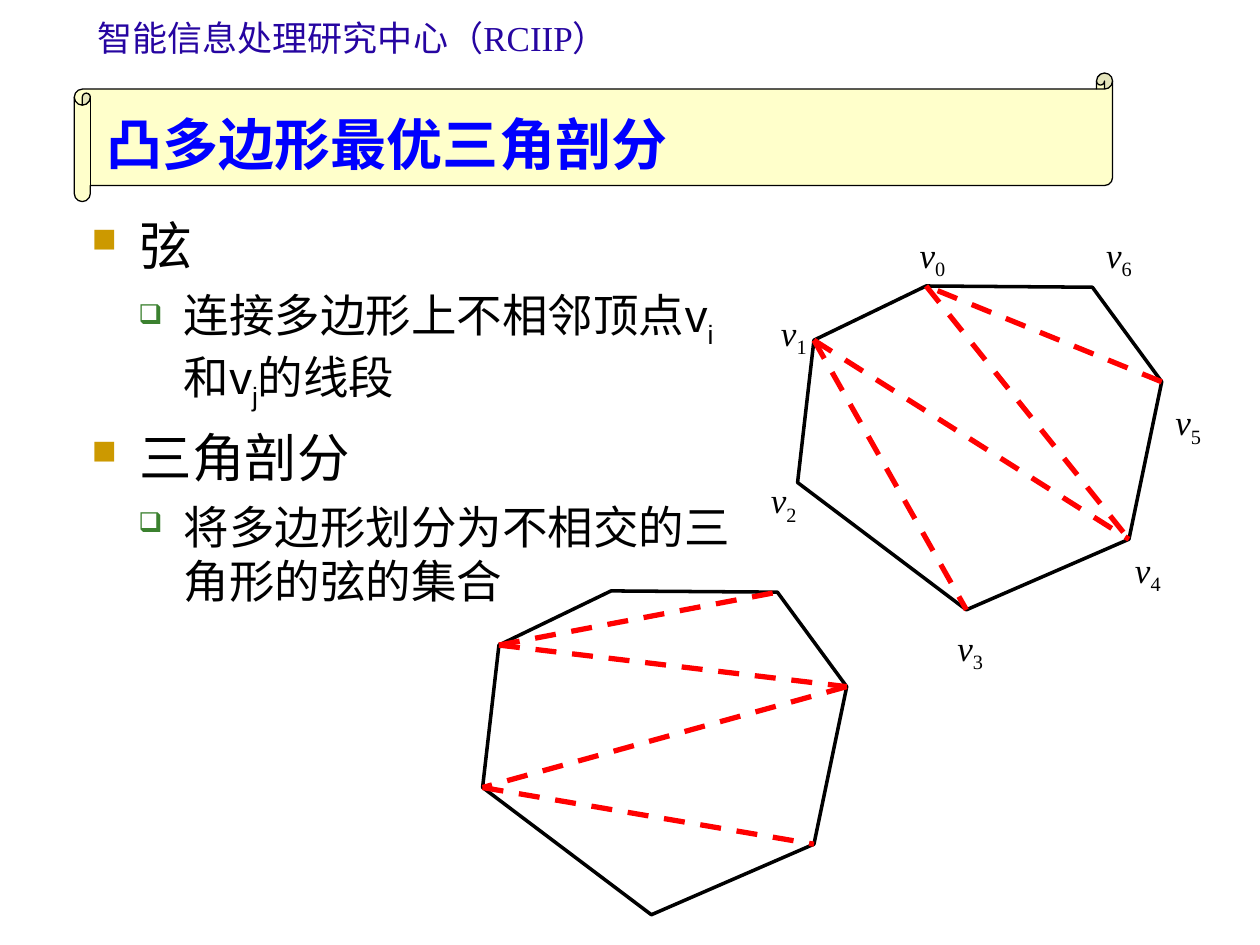
from lxml import etree
from pptx import Presentation
from pptx import util as u
from pptx.dml.color import RGBColor
from pptx.enum import dml, shapes, text
from pptx.oxml import ns

COLORS = {
    "head": "2605A1",
    "scroll": "FFFF99",
    "title": "0000FF",
    "ink": "000000",
    "chord": "FF0000",
    "gold": "CC9900",
    "green": "3B812F",
}
SANS, SERIF = "Arial", "Times New Roman"

# Vertices v0 to v6 and the top left corners of their labels
POINTS = [(7.35, 2.27), (6.46, 2.7), (6.33, 3.83), (7.67, 4.84),
          (8.96, 4.28), (9.22, 3.03), (8.67, 2.28)]
LABELS = [(7.2, 1.8), (6.1, 2.42), (6.02, 3.75), (7.5, 4.92),
          (8.91, 4.3), (9.23, 3.13), (8.68, 1.8)]
# Shift of each polygon and its chords as vertex pairs
CUTS = [
    ((0, 0), [(1, 4), (1, 3), (5, 0), (0, 4)]),
    ((-2.5, 2.42), [(1, 5), (1, 6), (5, 2), (2, 4)]),
]
# Level and runs; a run that starts with "_" is a subscript
BODY = [
    (0, ["弦"]),
    (1, ["连接多边形上不相邻顶点v", "_i", "和v", "_j", "的线段"]),
    (0, ["三角剖分"]),
    (1, ["将多边形划分为不相交的三角形的弦的集合"]),
]
# Size, space before, left margin, indent, Wingdings bullet (n is a filled
# square, q a shadowed one), its colour and percent
LEVELS = [
    (30, 7.5, 0.38, -0.38, "n", "gold", 65),
    (26, 6.5, 0.73, -0.36, "q", "green", 60),
]


def rgb(name):
    return RGBColor.from_string(COLORS[name])


def sub(node, tag, **attrs):
    return etree.SubElement(node, ns.qn(tag), attrs)


def add_run(para, words, size, face, color="ink", bold=False, italic=False,
            low=False):
    run = para.add_run()
    run.text = words
    font = run.font
    font.size, font.name = u.Pt(size), face
    font.bold, font.italic = bold, italic
    font.color.rgb = rgb(color)
    if low:
        run._r.get_or_add_rPr().set("baseline", "-25000")


def add_box(slide, x, y, w, h, wrap=True, anchor=text.MSO_ANCHOR.TOP):
    box = slide.shapes.add_textbox(*map(u.Inches, (x, y, w, h)))
    frame = box.text_frame
    frame.word_wrap = wrap
    frame.vertical_anchor = anchor
    return frame


def add_head(slide):
    frame = add_box(slide, 0.55, 0, 4.5, 0.6, False, text.MSO_ANCHOR.MIDDLE)
    para = frame.paragraphs[0]
    para.alignment = text.PP_ALIGN.CENTER
    add_run(para, "智能信息处理研究中心", 20, SANS, "head")
    add_run(para, "（RCIIP）", 20, SERIF, "head")


def add_title(slide):
    scroll = slide.shapes.add_shape(
        shapes.MSO_SHAPE.HORIZONTAL_SCROLL,
        *map(u.Inches, (0.59, 0.58, 8.24, 1.02)))
    scroll.shadow.inherit = False
    scroll.fill.solid()
    scroll.fill.fore_color.rgb = rgb("scroll")
    tint = scroll._element.spPr.find(ns.qn("a:solidFill"))
    sub(tint[0], "a:alpha", val="50000")
    scroll.line.color.rgb = rgb("ink")
    scroll.line.width = u.Pt(0.75)
    frame = add_box(slide, 0.75, 0.58, 7.01, 0.87,
                    anchor=text.MSO_ANCHOR.BOTTOM)
    add_run(frame.paragraphs[0], "凸多边形最优三角剖分", 32, SANS, "title",
            bold=True)


def add_body(slide):
    frame = add_box(slide, 0.63, 1.64, 5.47, 5.33)
    for i, (level, runs) in enumerate(BODY):
        size, gap, left, indent, mark, color, scale = LEVELS[level]
        para = frame.add_paragraph() if i else frame.paragraphs[0]
        para.level = level
        para.space_before = u.Pt(gap if i else 0)
        props = para._p.get_or_add_pPr()
        props.set("marL", str(u.Inches(left)))
        props.set("indent", str(u.Inches(indent)))
        sub(sub(props, "a:buClr"), "a:srgbClr", val=COLORS[color])
        sub(props, "a:buSzPct", val=str(scale * 1000))
        sub(props, "a:buFont", typeface="Wingdings", charset="2")
        sub(props, "a:buChar", char=mark)
        for words in runs:
            add_run(para, words.lstrip("_"), size, SANS,
                    low=words.startswith("_"))


def add_label(slide, index, x, y):
    frame = add_box(slide, x, y, 0.5, 0.48, wrap=False)
    para = frame.paragraphs[0]
    add_run(para, "v", 20, SERIF, italic=True)
    add_run(para, str(index), 20, SERIF, low=True)


def add_outline(slide, points):
    build = slide.shapes.build_freeform(*points[0])
    build.add_line_segments(points[1:], close=True)
    shape = build.convert_to_shape()
    shape.shadow.inherit = False
    shape.fill.background()
    shape.line.color.rgb = rgb("ink")
    shape.line.width = u.Pt(2)


def add_chord(slide, start, end):
    line = slide.shapes.add_connector(
        shapes.MSO_CONNECTOR.STRAIGHT, *start, *end)
    line.line.color.rgb = rgb("chord")
    line.line.width = u.Pt(3)
    line.line.dash_style = dml.MSO_LINE.DASH
    sub(line._element.spPr, "a:effectLst")


def add_polygon(slide, shift, chords):
    dx, dy = shift
    points = [(u.Inches(x + dx), u.Inches(y + dy)) for x, y in POINTS]
    add_outline(slide, points)
    for a, b in chords:
        add_chord(slide, points[a], points[b])


def main():
    deck = Presentation()
    deck.slide_width, deck.slide_height = u.Inches(10), u.Inches(7.5)
    slide = deck.slides.add_slide(deck.slide_layouts[6])
    add_head(slide)
    add_title(slide)
    add_body(slide)
    for index, (x, y) in enumerate(LABELS):
        add_label(slide, index, x, y)
    for shift, chords in CUTS:
        add_polygon(slide, shift, chords)
    deck.save("out.pptx")


if __name__ == "__main__":
    main()
